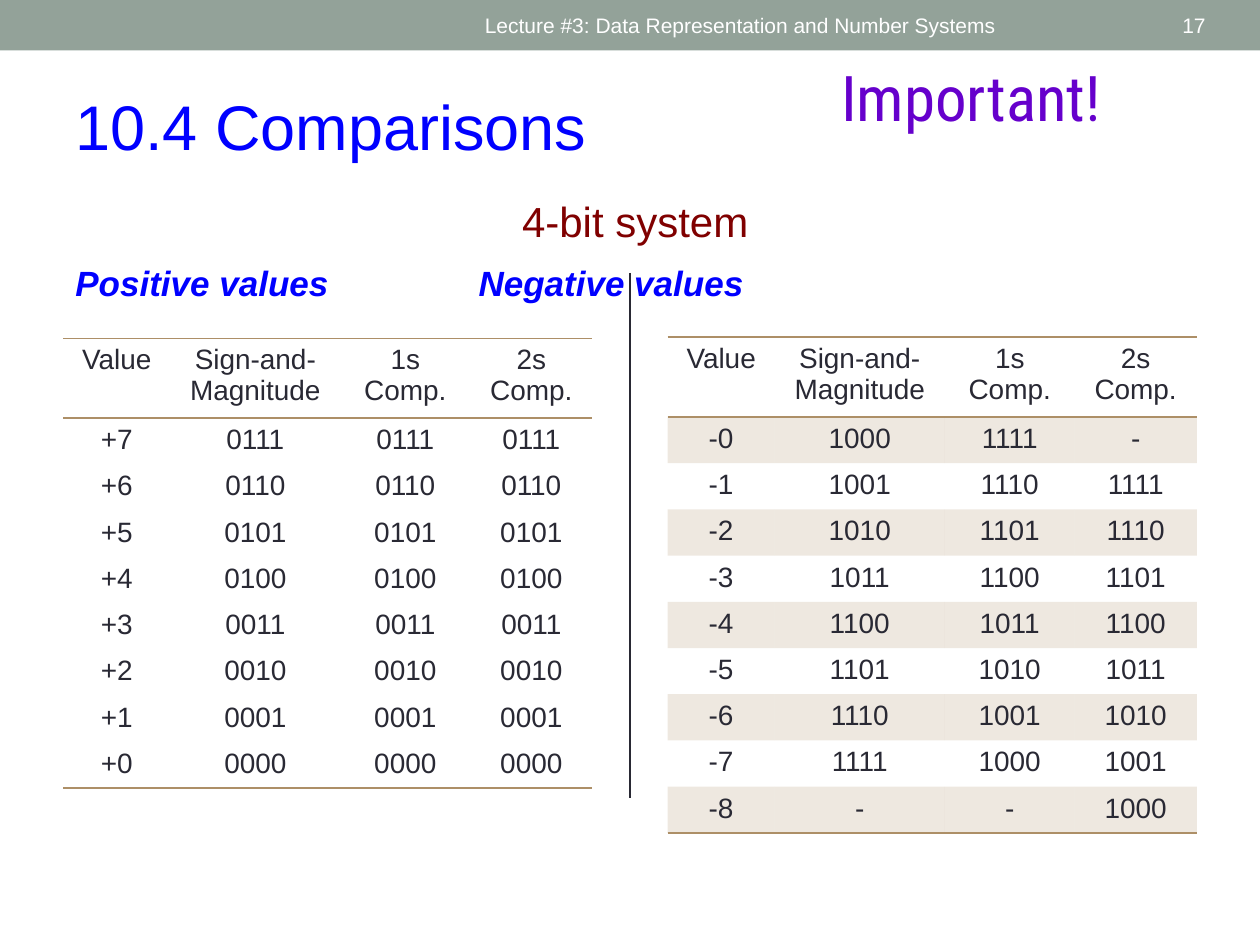
from lxml.etree import SubElement
from pptx import Presentation
from pptx.dml.color import RGBColor
from pptx.enum.shapes import MSO_CONNECTOR, MSO_SHAPE
from pptx.enum.text import MSO_ANCHOR as Anchor, PP_ALIGN as Align
from pptx.oxml.ns import qn
from pptx.util import Pt

# Content
LECTURE = "Lecture #3: Data Representation and Number Systems"
PAGE = "17"
TITLE = "10.4 Comparisons"
BADGE = "Important!"
SYSTEM = "4-bit system"
SIDES = "Positive values\t\tNegative values"
HEADER = ("Value", "Sign-and-Magnitude", "1s Comp.", "2s Comp.")
POSITIVE = [(f"+{n}", *[f"{n:04b}"] * 3) for n in range(7, -1, -1)]
NEGATIVE = [
    ("-0", "1000", "1111", "-"),
    ("-1", "1001", "1110", "1111"),
    ("-2", "1010", "1101", "1110"),
    ("-3", "1011", "1100", "1101"),
    ("-4", "1100", "1011", "1100"),
    ("-5", "1101", "1010", "1011"),
    ("-6", "1110", "1001", "1010"),
    ("-7", "1111", "1000", "1001"),
    ("-8", "-", "-", "1000"),
]

# Look
WHITE = RGBColor(0xFF, 0xFF, 0xFF)
SAGE = RGBColor(0x93, 0xA2, 0x99)
BLUE = RGBColor(0x00, 0x00, 0xFF)
MAROON = RGBColor(0x80, 0x00, 0x00)
INK = RGBColor(0x29, 0x29, 0x34)
TAN = RGBColor(0xAD, 0x8F, 0x67)
PURPLE = RGBColor(0x66, 0x00, 0xCC)
MAGENTA = RGBColor(0xCC, 0x00, 0xCC)
LILAC = RGBColor(0xCC, 0x99, 0xFF)
COLUMN_WIDTHS = (61.2, 97.2, 74.2, 69.8)
HEADER_HEIGHT, ROW_HEIGHT = 45.7, 26.4
NO_STYLE = "{2D5ABB26-0587-4C30-8999-92F81FD0307C}"


def set_font(paragraph, size, color, align=Align.LEFT, name="Arial"):
    paragraph.alignment = align
    font = paragraph.font
    font.size, font.name = Pt(size), name
    font.color.rgb = color


def add_text(slide, box, text, size, color, align=Align.LEFT, anchor=Anchor.TOP):
    frame = slide.shapes.add_textbox(*map(Pt, box)).text_frame
    frame.word_wrap = True
    frame.vertical_anchor = anchor
    paragraph = frame.paragraphs[0]
    paragraph.text = text
    set_font(paragraph, size, color, align)
    return frame


def add_solid_line(parent, tag, width, color):
    line = SubElement(parent, qn(tag), w=str(Pt(width)))
    fill = SubElement(line, qn("a:solidFill"))
    SubElement(fill, qn("a:srgbClr"), val=str(color))
    return line


def fill_cell(cell, color, opacity=100):
    if color is None:
        cell.fill.background()
        return
    cell.fill.solid()
    cell.fill.fore_color.rgb = color
    if opacity < 100:
        tint = cell._tc.tcPr.find(".//" + qn("a:srgbClr"))
        SubElement(tint, qn("a:alpha"), val=str(opacity * 1000))


def add_value_table(slide, left, top, values, banded):
    rows = [HEADER, *values]
    heights = [HEADER_HEIGHT] + [ROW_HEIGHT] * len(values)
    table = slide.shapes.add_table(
        len(rows), len(HEADER), Pt(left), Pt(top),
        Pt(sum(COLUMN_WIDTHS)), Pt(sum(heights))).table
    table.horz_banding = False
    table._tbl.tblPr.find(qn("a:tableStyleId")).text = NO_STYLE
    for column, width in zip(table.columns, COLUMN_WIDTHS):
        column.width = Pt(width)
    for r, (row, height) in enumerate(zip(rows, heights)):
        table.rows[r].height = Pt(height)
        edges = {0: ("a:lnT", "a:lnB"), len(values): ("a:lnB",)}.get(r, ())
        for c, text in enumerate(row):
            cell = table.cell(r, c)
            cell.text = text
            set_font(cell.text_frame.paragraphs[0], 16, INK, Align.CENTER)
            if not banded:
                fill_cell(cell, WHITE)
            elif r % 2:
                fill_cell(cell, TAN, 20)
            else:
                fill_cell(cell, None)
            # Borders must precede the fill
            properties = cell._tc.tcPr
            for i, edge in enumerate(edges):
                properties.insert(i, add_solid_line(properties, edge, 1, TAN))


def main():
    presentation = Presentation()
    presentation.slide_width, presentation.slide_height = Pt(720), Pt(540)
    slide = presentation.slides.add_slide(presentation.slide_layouts[6])

    # Top band
    band = slide.shapes.add_shape(MSO_SHAPE.RECTANGLE, 0, 0, Pt(720), Pt(28.8))
    band.shadow.inherit = False
    band.fill.solid()
    band.fill.fore_color.rgb = SAGE
    band.line.fill.background()
    add_text(slide, (270, 1.4, 324, 26), LECTURE, 12, WHITE, anchor=Anchor.MIDDLE)
    add_text(slide, (628, 1.4, 68, 26), PAGE, 12, WHITE, Align.RIGHT, Anchor.MIDDLE)

    # Title
    add_text(slide, (36, 46.3, 648, 51), TITLE, 36, BLUE)

    # Headings over the tables; tabs fall on every inch
    frame = add_text(slide, (36, 108, 654, 78), SYSTEM, 24, MAROON, Align.CENTER)
    system, sides = frame.paragraphs[0], frame.add_paragraph()
    sides.text = SIDES
    set_font(sides, 20, BLUE)
    sides.font.bold = sides.font.italic = True
    system.space_before = system.space_after = Pt(4.8)
    sides.space_before = Pt(4.4)
    for paragraph in (system, sides):
        properties = paragraph._p.get_or_add_pPr()
        properties.set("marL", str(Pt(14.4)))
        properties.set("indent", str(Pt(-14.4)))
        properties.set("defTabSz", str(Pt(72)))

    # Badge with gradient letters
    frame = add_text(slide, (456, 30, 198, 71), BADGE, 36, PURPLE, Align.CENTER)
    frame.word_wrap = False
    font = frame.paragraphs[0].runs[0].font
    font.size, font.name = Pt(36), "Roboto Condensed"
    font.fill.gradient()
    font.fill.gradient_angle = 270
    for stop, color in zip(font.fill.gradient_stops, (PURPLE, MAGENTA)):
        stop.color.rgb = color
    letters = font._element
    letters.insert(0, add_solid_line(letters, "a:ln", 0.75, LILAC))

    # Divider
    divider = slide.shapes.add_connector(
        MSO_CONNECTOR.STRAIGHT, Pt(360), Pt(156), Pt(360), Pt(456))
    divider.line.color.rgb = INK
    divider.line.width = Pt(0.75)
    SubElement(divider._element.spPr, qn("a:effectLst"))

    # Tables
    add_value_table(slide, 36.1, 193.3, POSITIVE, banded=False)
    add_value_table(slide, 381.5, 192.5, NEGATIVE, banded=True)

    presentation.save("out.pptx")


if __name__ == "__main__":
    main()
